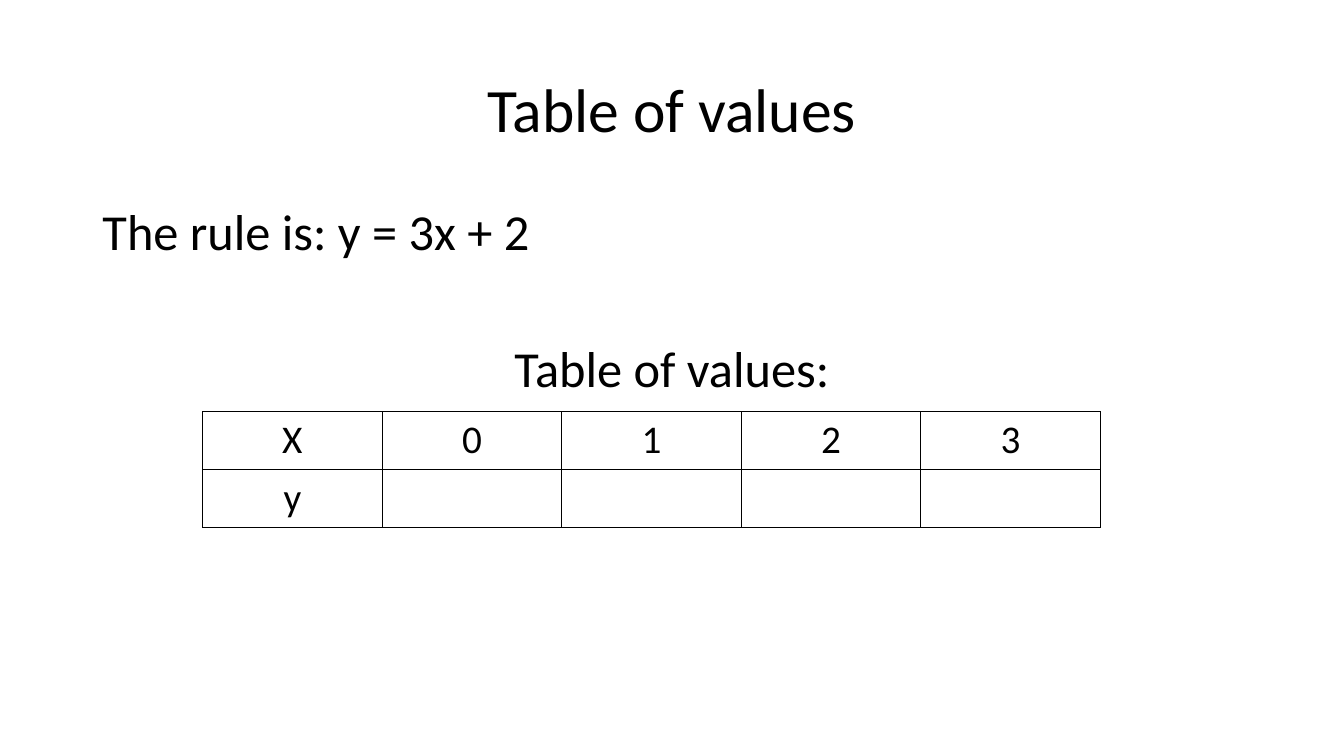
"""Build the slide about the table of values for y = 3x + 2."""
from dataclasses import dataclass

from lxml.etree import SubElement
from pptx import Presentation
from pptx.dml.color import RGBColor
from pptx.enum.text import MSO_ANCHOR, MSO_AUTO_SIZE, PP_ALIGN
from pptx.oxml.ns import qn
from pptx.util import Pt

EMU_PER_PX = 9525


@dataclass(frozen=True)
class Theme:
    font: str = "Calibri"
    ink: str = "000000"
    title_size: int = 44
    body_size: int = 36
    cell_size: int = 28
    border_width: int = 1


@dataclass(frozen=True)
class Box:
    left: int
    top: int
    width: int
    height: int


@dataclass(frozen=True)
class Statement:
    text: str
    align: PP_ALIGN
    space_before: int


THEME = Theme()
TITLE_BOX = Box(88, 38, 1104, 139)
BODY_BOX = Box(88, 192, 1104, 457)
TABLE_BOX = Box(193, 392, 855, 110)
STATEMENTS = (
    Statement("The rule is: y = 3x + 2", PP_ALIGN.LEFT, 0),
    Statement("Table of values:", PP_ALIGN.CENTER, 59),
)
VALUES = (("X", "0", "1", "2", "3"), ("y", "", "", "", ""))


def px(length: int) -> int:
    return length * EMU_PER_PX


def place(shape, box: Box) -> None:
    shape.left, shape.top = px(box.left), px(box.top)
    shape.width, shape.height = px(box.width), px(box.height)


def write(paragraph, text: str, *, size: int, align=PP_ALIGN.CENTER,
          line_spacing: float = 1.0, space_before: int = 0) -> None:
    paragraph.alignment = align
    paragraph.line_spacing = line_spacing
    paragraph.space_before = Pt(space_before)
    if not text:
        return
    run = paragraph.add_run()
    run.text = text
    run.font.name = THEME.font
    run.font.size = Pt(size)
    run.font.bold = False
    run.font.color.rgb = RGBColor.from_string(THEME.ink)


def remove_bullet(paragraph) -> None:
    properties = paragraph._p.get_or_add_pPr()
    properties.set("marL", "0")
    properties.set("indent", "0")
    SubElement(properties, qn("a:buNone"))


def outline(cell) -> None:
    properties = cell._tc.get_or_add_tcPr()
    for side in ("lnL", "lnR", "lnT", "lnB"):
        border = SubElement(properties, qn(f"a:{side}"), w=str(Pt(THEME.border_width)))
        fill = SubElement(border, qn("a:solidFill"))
        SubElement(fill, qn("a:srgbClr"), val=THEME.ink)


def draw_title(title) -> None:
    place(title, TITLE_BOX)
    title.text_frame.vertical_anchor = MSO_ANCHOR.MIDDLE
    write(title.text_frame.paragraphs[0], "Table of values",
          size=THEME.title_size, line_spacing=0.9)


def draw_statements(body) -> None:
    place(body, BODY_BOX)
    frame = body.text_frame
    frame.auto_size = MSO_AUTO_SIZE.NONE
    for index, statement in enumerate(STATEMENTS):
        paragraph = frame.add_paragraph() if index else frame.paragraphs[0]
        remove_bullet(paragraph)
        write(paragraph, statement.text, size=THEME.body_size, align=statement.align,
              line_spacing=0.9, space_before=statement.space_before)


def draw_values(slide) -> None:
    box = TABLE_BOX
    table = slide.shapes.add_table(
        len(VALUES), len(VALUES[0]),
        px(box.left), px(box.top), px(box.width), px(box.height)).table
    table.first_row = table.horz_banding = False
    for row, values in enumerate(VALUES):
        for column, value in enumerate(values):
            cell = table.cell(row, column)
            outline(cell)
            cell.fill.background()
            write(cell.text_frame.paragraphs[0], value, size=THEME.cell_size)


def main() -> None:
    presentation = Presentation()
    presentation.slide_width, presentation.slide_height = px(1280), px(720)
    slide = presentation.slides.add_slide(presentation.slide_layouts[1])
    draw_title(slide.shapes.title)
    draw_statements(slide.placeholders[1])
    draw_values(slide)
    presentation.save("out.pptx")


if __name__ == "__main__":
    main()
